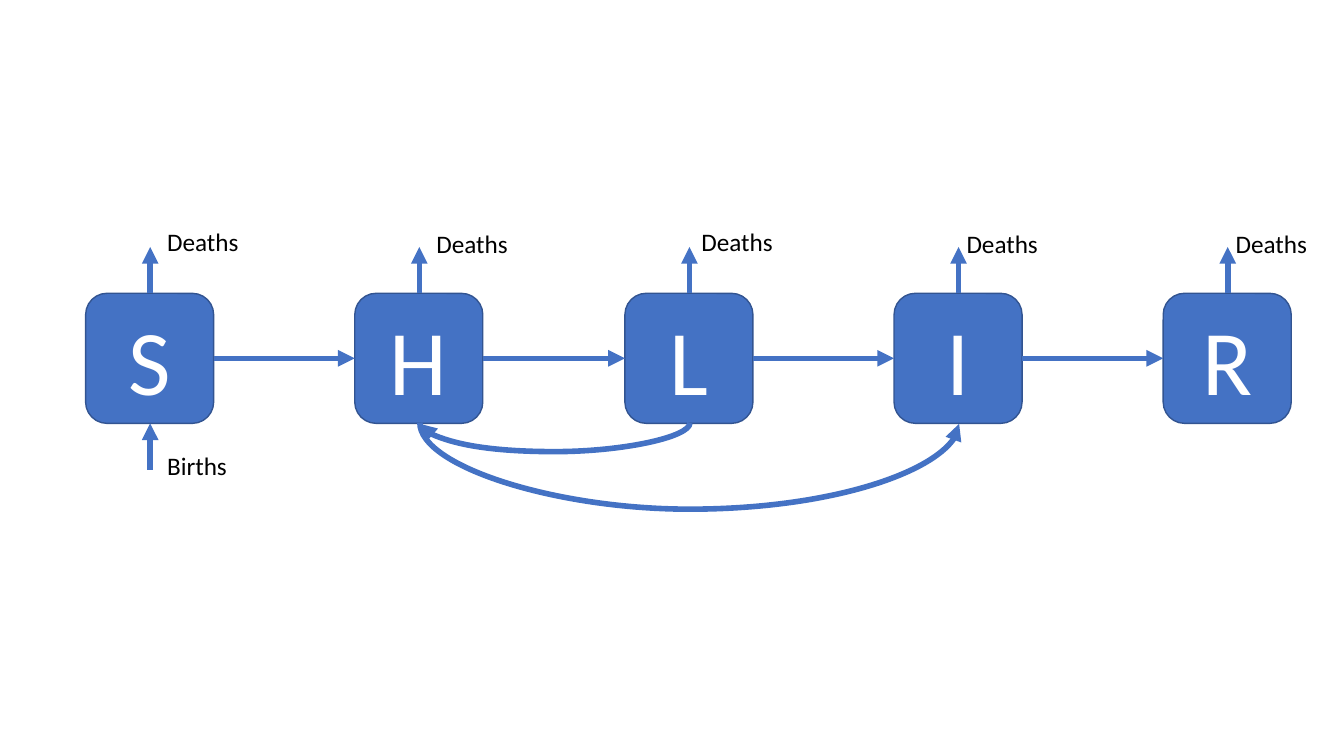
import pptx
import pptx.util
import pptx.dml.color
import pptx.enum.shapes
import pptx.enum.text
import pptx.oxml
import pptx.oxml.ns
from dataclasses import dataclass

SHAPE = pptx.enum.shapes.MSO_SHAPE
LINE = pptx.enum.shapes.MSO_CONNECTOR
TOP, LEFT, BASE, RIGHT = range(4)  # connection sites of a box


@dataclass(frozen=True)
class Theme:
    font: str = "Calibri"
    fill: str = "4472C4"
    edge: str = "325491"
    light: str = "FFFFFF"
    dark: str = "000000"
    big: int = 66
    small: int = 18
    thin: int = 1
    thick: int = 4


def px(n):
    return pptx.util.Emu(round(n * 9144))


def tint(code):
    return pptx.dml.color.RGBColor.from_string(code)


def node(tag, **attrs):
    """Make an empty drawing element with the given attributes."""
    item = pptx.oxml.parse_xml(
        "<a:%s %s/>" % (tag, pptx.oxml.ns.nsdecls("a")))
    for key, value in attrs.items():
        item.set(key, value)
    return item


class Chart:
    def __init__(self, slide, theme):
        self.slide = slide
        self.theme = theme

    def add_run(self, frame, text, size, color):
        run = frame.paragraphs[0].add_run()
        run.text = text
        run.font.name = self.theme.font
        run.font.size = pptx.util.Pt(size)
        run.font.color.rgb = tint(color)

    def box(self, text, x, y, w, h):
        t = self.theme
        box = self.slide.shapes.add_shape(
            SHAPE.ROUNDED_RECTANGLE, px(x), px(y), px(w), px(h))
        box.shadow.inherit = False
        box.fill.solid()
        box.fill.fore_color.rgb = tint(t.fill)
        box.line.color.rgb = tint(t.edge)
        box.line.width = pptx.util.Pt(t.thin)
        frame = box.text_frame
        frame.vertical_anchor = pptx.enum.text.MSO_ANCHOR.MIDDLE
        frame.paragraphs[0].alignment = pptx.enum.text.PP_ALIGN.CENTER
        self.add_run(frame, text, t.big, t.light)
        return box

    def label(self, text, x, y, w, h=40):
        area = self.slide.shapes.add_textbox(px(x), px(y), px(w), px(h))
        area.text_frame.word_wrap = True
        self.add_run(area.text_frame, text, self.theme.small, self.theme.dark)

    def arrow(self, x1, y1, x2, y2, kind=LINE.STRAIGHT):
        link = self.slide.shapes.add_connector(
            kind, px(x1), px(y1), px(x2), px(y2))
        link.line.color.rgb = tint(self.theme.fill)
        link.line.width = pptx.util.Pt(self.theme.thick)
        props = link.element.spPr
        props.find(pptx.oxml.ns.qn("a:ln")).append(
            node("tailEnd", type="triangle"))
        props.append(node("effectLst"))
        return link

    def curve(self, start, end, x1, x2, y, drop):
        """Arc below two boxes, drop px deep, drawn as a turned connector."""
        link = self.arrow(x1, y, x2, y, LINE.CURVE)
        link.begin_connect(start, BASE)
        link.end_connect(end, BASE)
        span = abs(x2 - x1)
        props = link.element.spPr
        props.xfrm.flipH = x2 > x1
        props.xfrm.flipV = False
        link.rotation = 270 if x2 > x1 else 90
        link.left, link.top = px((x1 + x2) / 2), px(y - span / 2)
        link.width, link.height = px(1), px(span)
        # The bend is a share of the 1 px width, in 1/100000.
        bend = node("gd", name="adj1", fmla=f"val {drop * 100000}")
        props.find(".//" + pptx.oxml.ns.qn("a:avLst")).append(bend)


def main():
    deck = pptx.Presentation()
    deck.slide_width, deck.slide_height = px(1333.33), px(750)
    chart = Chart(deck.slides.add_slide(deck.slide_layouts[6]), Theme())

    wide, high, top, stem = 127, 129, 291, 46
    base = top + high
    mid = top + high // 2 + 1
    lefts = [round(85 + 267.25 * i) for i in range(5)]
    mids = [x + wide // 2 + 1 for x in lefts]
    boxes = [chart.box(name, x, top, wide, high)
             for name, x in zip("SHLIR", lefts)]

    for i in range(4):
        link = chart.arrow(lefts[i] + wide, mid, lefts[i + 1], mid)
        link.begin_connect(boxes[i], RIGHT)
        link.end_connect(boxes[i + 1], LEFT)

    spots = [(156, 220), (423, 222), (686, 220), (949, 222), (1216, 222)]
    for x, (left, y) in zip(mids, spots):
        chart.arrow(x, top, x, top - stem)
        chart.label("Deaths", left, y, 98)

    chart.arrow(mids[0], base + stem, mids[0], base)
    chart.label("Births", 156, 442, 84)

    host, latent, ill = 1, 2, 3
    for a, b, drop in [(host, ill, 87), (latent, host, 29)]:
        chart.curve(boxes[a], boxes[b], mids[a], mids[b], base, drop)

    deck.save("out.pptx")


if __name__ == "__main__":
    main()
